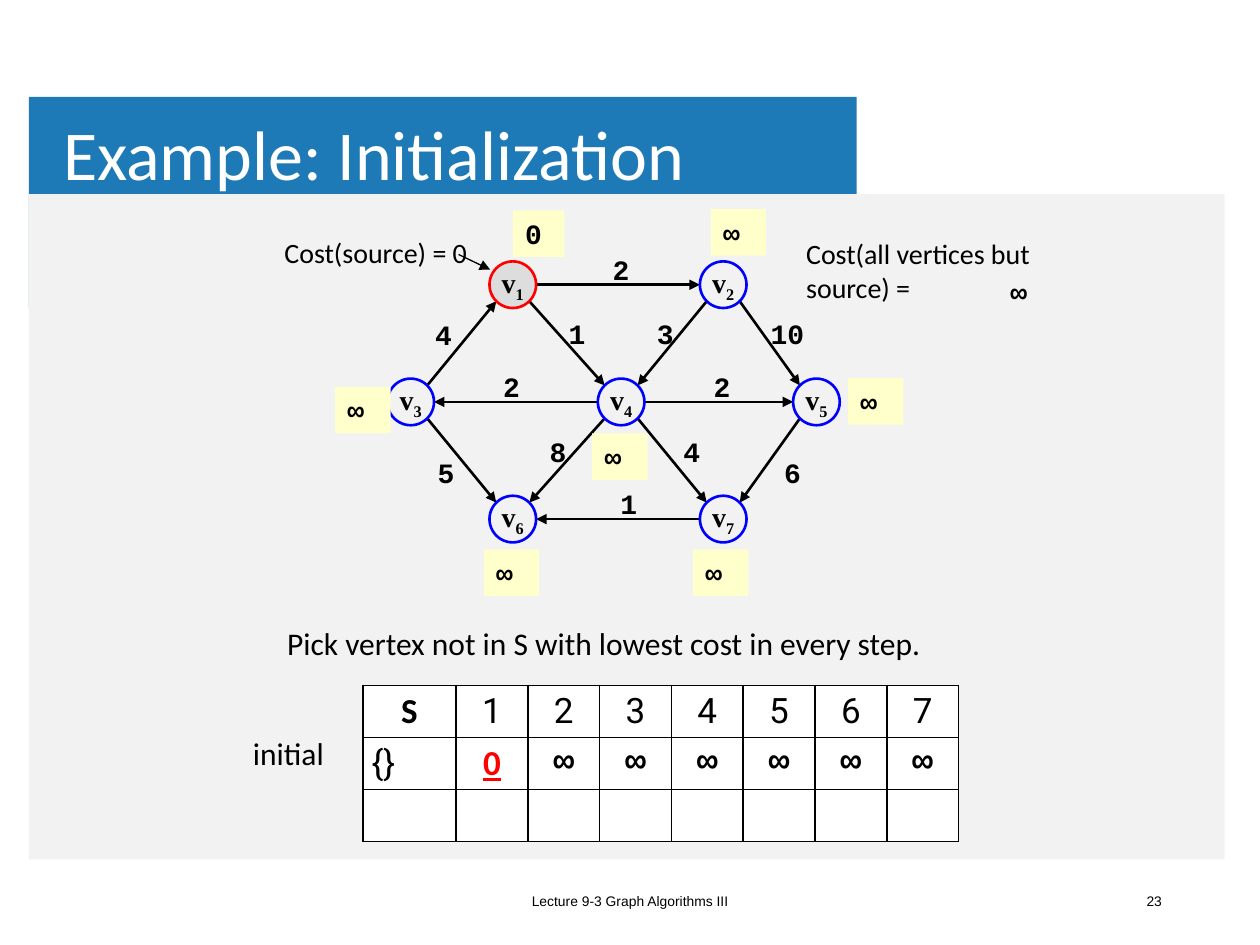
from dataclasses import dataclass

from lxml import etree
from pptx import Presentation
from pptx.dml.color import RGBColor
from pptx.enum import shapes, text
from pptx.oxml import ns
from pptx.util import Inches, Pt


@dataclass(frozen=True)
class Theme:
    banner: str = "1E7AB6"
    panel: str = "F2F2F2"
    white: str = "FFFFFF"
    ink: str = "000000"
    source: str = "FF0000"
    source_fill: str = "DDDDDD"
    vertex: str = "0000FF"
    cost: str = "FFFFCC"
    title_size: float = 40
    table_size: float = 20
    caption_size: float = 18
    graph_size: float = 16
    footer_size: float = 7.9
    body: str = "Calibri"
    mono: str = "Courier New"
    serif: str = "Times New Roman"
    digits: str = "Roboto"
    footer: str = "Arial"


theme = Theme()
rgb = RGBColor.from_string
LEFT, CENTER, RIGHT = text.PP_ALIGN.LEFT, text.PP_ALIGN.CENTER, text.PP_ALIGN.RIGHT
TOP, MIDDLE = text.MSO_ANCHOR.TOP, text.MSO_ANCHOR.MIDDLE

prs = Presentation()
prs.slide_width, prs.slide_height = Inches(10), Inches(7.5)
slide = prs.slides.add_slide(prs.slide_layouts[5])
parts = slide.shapes


def write(frame, words, size, face, color=theme.ink, bold=False, align=LEFT, anchor=TOP, wrap=True):
    frame.word_wrap = wrap
    frame.vertical_anchor = anchor
    paragraph = frame.paragraphs[0]
    for word in words if isinstance(words, list) else [words]:
        paragraph.add_run().text = word
    paragraph.alignment = align
    font = paragraph.font
    font.size, font.name, font.bold = Pt(size), face, bold
    font.color.rgb = rgb(color)
    return paragraph


def arrow(x1, y1, x2, y2, width):
    line = parts.add_connector(shapes.MSO_CONNECTOR.STRAIGHT,
                               Inches(x1), Inches(y1), Inches(x2), Inches(y2))
    line.line.color.rgb = rgb(theme.ink)
    line.line.width = Pt(width)
    etree.SubElement(line.line._get_or_add_ln(), ns.qn("a:tailEnd"), type="triangle")
    etree.SubElement(line._element.spPr, ns.qn("a:effectLst"))


for left, top, width, height, color in [(0.23, 0.77, 6.57, 1.67, theme.banner),
                                        (0.23, 1.54, 9.49, 5.28, theme.panel)]:
    band = parts.add_shape(shapes.MSO_SHAPE.RECTANGLE,
                           Inches(left), Inches(top), Inches(width), Inches(height))
    band.shadow.inherit = False
    band.fill.solid()
    band.fill.fore_color.rgb = rgb(color)
    band.line.fill.background()

title = parts.title
title.left, title.top, title.width, title.height = Inches(0.43), Inches(0.76), Inches(8.03), Inches(0.98)
parts._spTree.append(title._element)
heading = title.text_frame
heading.auto_size = text.MSO_AUTO_SIZE.NONE
heading.margin_left = heading.margin_right = Inches(0.07)
heading.margin_top = heading.margin_bottom = Inches(0.04)
write(heading, "Example: Initialization", theme.title_size, theme.body,
      theme.white, anchor=MIDDLE).line_spacing = 0.9

diameter = 0.37
radius = diameter / 2
vertices = {1: (4.07, 2.26), 2: (5.74, 2.26), 3: (3.26, 3.19), 4: (4.93, 3.19),
            5: (6.48, 3.19), 6: (4.07, 4.12), 7: (5.74, 4.12)}
edges = [(1, 2, "2", 4.93, 1.95), (3, 1, "4", 3.52, 2.47), (1, 4, "1", 4.58, 2.46),
         (2, 4, "3", 5.28, 2.46), (2, 5, "10", 6.25, 2.46), (4, 3, "2", 4.06, 2.88),
         (4, 5, "2", 5.73, 2.88), (3, 6, "5", 3.54, 3.56), (4, 6, "8", 4.43, 3.4),
         (4, 7, "4", 5.49, 3.4), (5, 7, "6", 6.29, 3.56), (7, 6, "1", 4.99, 3.81)]

for start, end, weight, label_x, label_top in edges:
    (x1, y1), (x2, y2) = vertices[start], vertices[end]
    reach = radius if y1 == y2 else radius * 0.5 ** 0.5
    dx = reach if x2 > x1 else -reach
    dy = 0 if y1 == y2 else reach if y2 > y1 else -reach
    arrow(x1 + dx, y1 + dy, x2 - dx, y2 - dy, 1.5)
    width = 0.4 if len(weight) == 1 else 0.53
    label = parts.add_textbox(Inches(label_x - width / 2), Inches(label_top), Inches(width), Inches(0.37))
    write(label.text_frame, weight, theme.graph_size, theme.mono, bold=True, align=CENTER, anchor=MIDDLE)

for number, (x, y) in vertices.items():
    vertex = parts.add_shape(shapes.MSO_SHAPE.OVAL, Inches(x - radius), Inches(y - radius),
                             Inches(diameter), Inches(diameter))
    vertex.shadow.inherit = False
    vertex.line.width = Pt(1.5)
    if number == 1:
        vertex.fill.solid()
        vertex.fill.fore_color.rgb = rgb(theme.source_fill)
        vertex.line.color.rgb = rgb(theme.source)
    else:
        vertex.fill.background()
        vertex.line.color.rgb = rgb(theme.vertex)
    name = write(vertex.text_frame, ["v", str(number)], theme.graph_size, theme.serif,
                 bold=True, align=CENTER, anchor=MIDDLE, wrap=False)
    name.runs[1]._r.get_or_add_rPr().set("baseline", "-25000")

costs = [("0", 4.07, 1.67, 0.41), ("∞", 5.64, 1.66, 0.44), ("∞", 2.66, 3.07, 0.44),
         ("∞", 6.73, 3, 0.44), ("∞", 4.7, 3.44, 0.44), ("∞", 3.84, 4.36, 0.44), ("∞", 5.5, 4.36, 0.44)]
for value, left, top, width in costs:
    cost = parts.add_shape(shapes.MSO_SHAPE.RECTANGLE,
                           Inches(left), Inches(top), Inches(width), Inches(0.37))
    cost.shadow.inherit = False
    cost.fill.solid()
    cost.fill.fore_color.rgb = rgb(theme.cost)
    cost.line.fill.background()
    write(cost.text_frame, value, theme.graph_size, theme.mono, bold=True)

arrow(3.64, 2.02, 3.89, 2.14, 0.75)

notes = [
    ("Cost(source) = 0", 2.16, 1.82, 1.73, 0.64, theme.graph_size, theme.body, {}),
    ("Cost(all vertices but source) =", 6.3, 1.83, 2.13, 0.64, theme.graph_size, theme.body, {}),
    ("∞", 7.92, 2.13, 0.44, 0.37, theme.graph_size, theme.mono, {"bold": True}),
    ("Pick vertex not in S with lowest cost in every step.", 2.18, 4.9, 6.12, 0.4,
     theme.caption_size, theme.body, {"wrap": False}),
    ("initial", 1.91, 5.78, 0.9, 0.4, theme.caption_size, theme.body, {"wrap": False}),
    ("Lecture 9-3 Graph Algorithms III", 3.31, 6.95, 3.38, 0.4, theme.footer_size, theme.footer,
     {"align": CENTER, "anchor": MIDDLE}),
    ("23", 7.07, 6.95, 2.25, 0.4, theme.footer_size, theme.footer, {"align": RIGHT, "anchor": MIDDLE}),
]
for words, left, top, width, height, size, face, style in notes:
    note = parts.add_textbox(Inches(left), Inches(top), Inches(width), Inches(height))
    write(note.text_frame, words, size, face, **style)

rows = [["S", *"1234567"], ["{}", "0", *"∞" * 6], [""] * 8]
table = parts.add_table(3, 8, Inches(2.88), Inches(5.44), Inches(4.73), Inches(1.23)).table
for index, column in enumerate(table.columns):
    column.width = Inches(0.57 if index else 0.74)
for r, values in enumerate(rows):
    table.rows[r].height = Inches(0.41)
    for c, value in enumerate(values):
        cell = table.cell(r, c)
        cell.margin_left = cell.margin_right = Inches(0.07)
        cell.margin_top = cell.margin_bottom = Inches(0.04)
        cell.fill.solid()
        cell.fill.fore_color.rgb = rgb(theme.white)
        for position, side in enumerate(["lnL", "lnR", "lnT", "lnB"]):
            border = etree.Element(ns.qn("a:" + side), w=str(Pt(1)))
            paint = etree.SubElement(border, ns.qn("a:solidFill"))
            etree.SubElement(paint, ns.qn("a:srgbClr"), val=theme.ink)
            cell._tc.get_or_add_tcPr().insert(position, border)
        if value:
            face = {"S": theme.body, "0": theme.body, "∞": theme.mono}.get(value, theme.digits)
            entry = write(cell.text_frame, value, theme.table_size, face,
                          theme.source if value == "0" else theme.ink,
                          bold=value in "S0∞", align=LEFT if value == "{}" else CENTER)
            entry.font.underline = value == "0"
            cell.vertical_anchor = MIDDLE if r else TOP

prs.save("out.pptx")
